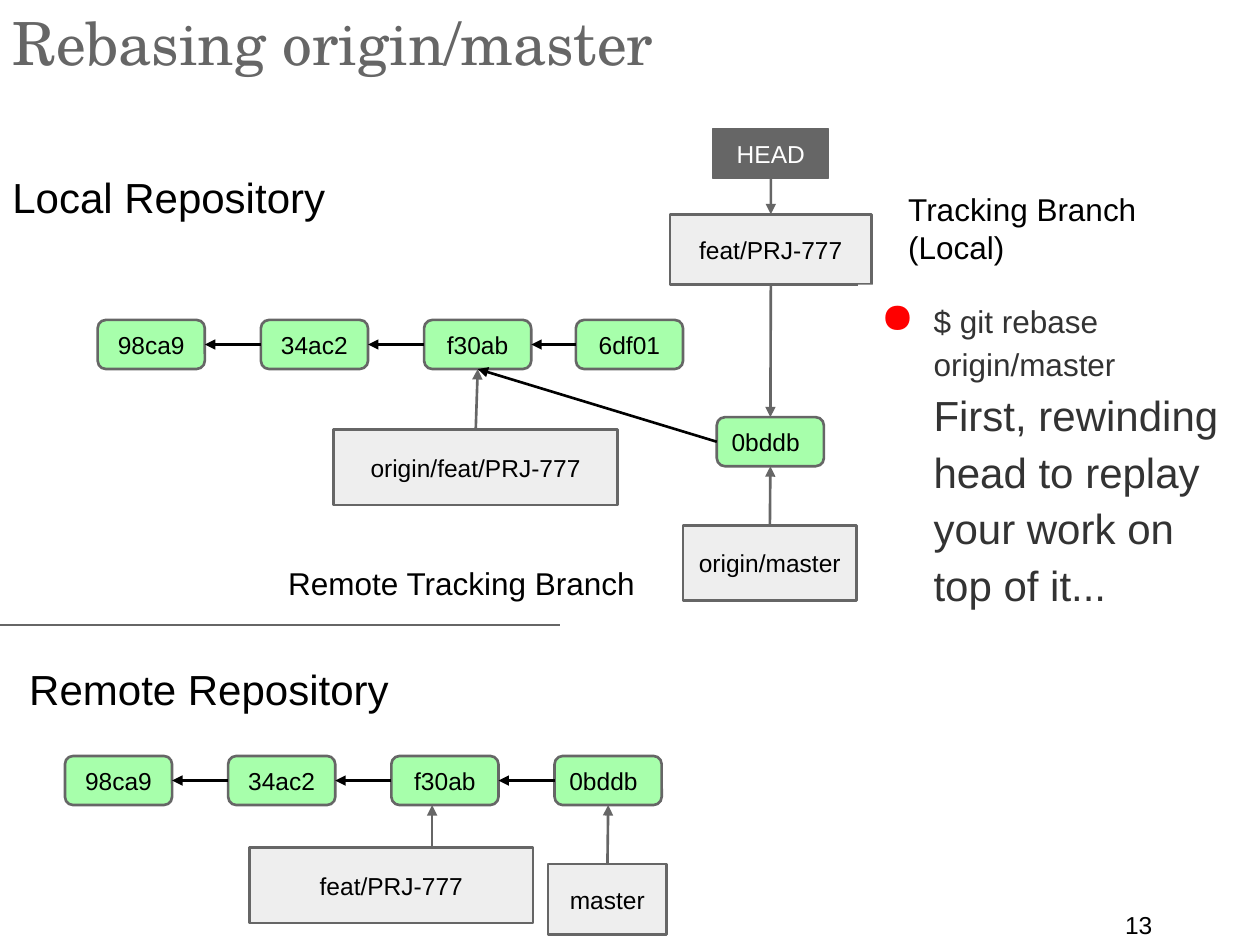
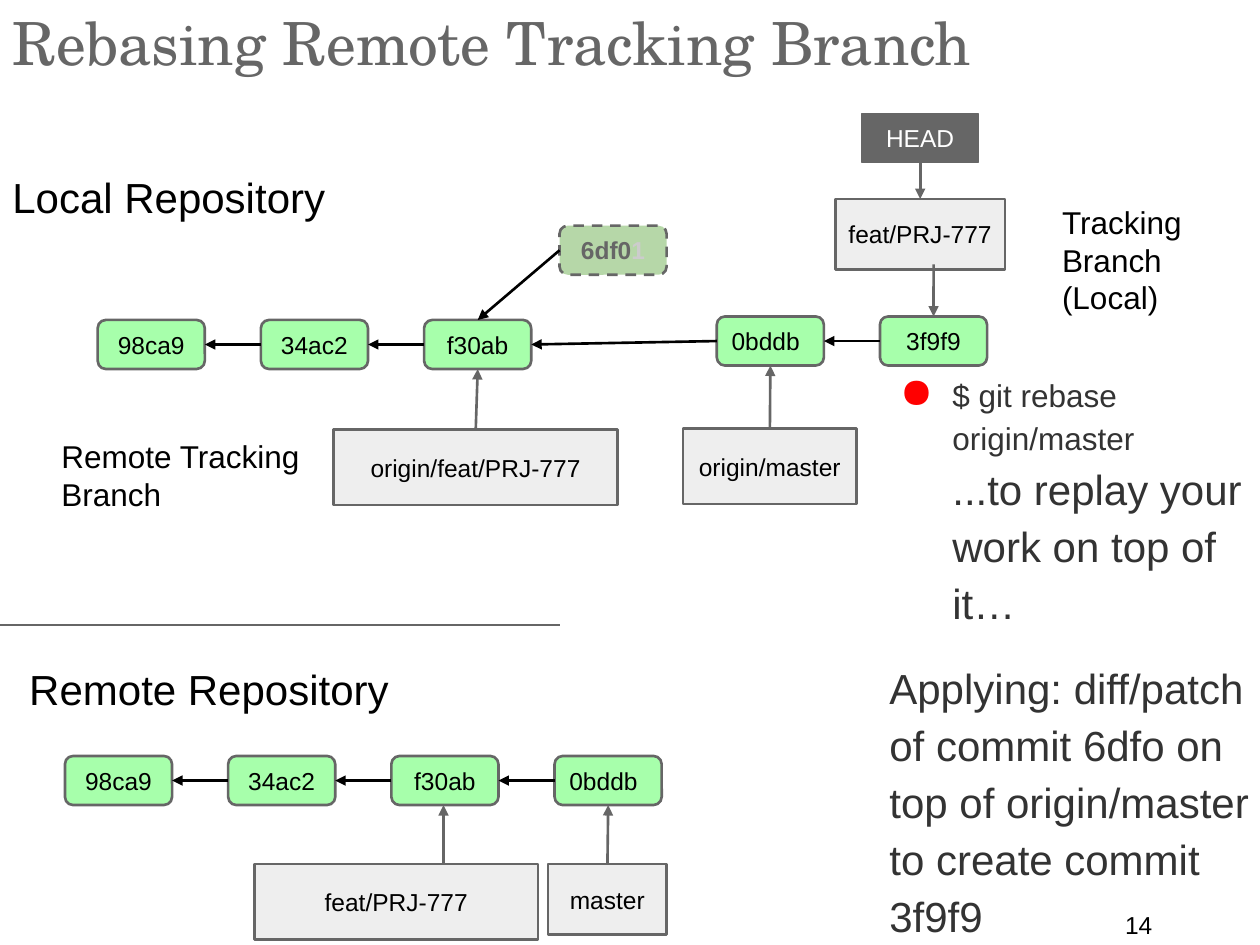
import collections

import pptx
import pptx.dml.color
import pptx.enum.dml
import pptx.enum.shapes
import pptx.enum.text
import pptx.oxml.ns
import pptx.util
from lxml import etree

Cm = pptx.util.Cm
Pt = pptx.util.Pt
Shapes = pptx.enum.shapes.MSO_SHAPE
Align = pptx.enum.text.PP_ALIGN
Box = collections.namedtuple("Box", "left top width height")

BLACK, WHITE, GREY, DARK = "000000", "FFFFFF", "666666", "333333"
GREEN, FADED_GREEN, PALE, LIGHT_GREY, RED = "A7FFAB", "B6D7A8", "EEEEEE", "CCCCCC", "FF0000"
TITLE_FONT, BODY_FONT = "TeX Gyre Schola", "Arial"
TOP, LEFT, BOTTOM, RIGHT = range(4)

COMMIT_WIDTH, COMMIT_HEIGHT, COMMIT_STEP = 2.16, 0.99, 3.29
HEAD_WIDTH, HEAD_RISE = 2.34, 1.72
BRANCH_HEIGHT, REMOTE_BRANCH_HEIGHT = 1.42, 1.52
LOCAL = Box(0, 2, 25.4, 10.6)
REMOTE = Box(0, 12.6, 17.3, 6.45)


def color(hex_string):
    return pptx.dml.color.RGBColor.from_string(hex_string)


def inside(region, left, top, width, height):
    """Turn a box measured from the region's corner into one on the page."""
    return Box(region.left + left, region.top + top, width, height)


def lengths(box):
    return [Cm(value) for value in box]


def add_span(para, text, size, ink=BLACK, font=BODY_FONT, bold=None):
    span = para.add_run()
    span.text = text
    span.font.name = font
    span.font.size = Pt(size)
    span.font.bold = bold
    span.font.color.rgb = color(ink)


def set_frame(shape, inset=0.25):
    frame = shape.text_frame
    frame.word_wrap = True
    frame.margin_left = frame.margin_right = Cm(0.25)
    frame.margin_top = frame.margin_bottom = Cm(inset)
    return frame


def add_label(page, box, text, size, ink=BLACK, font=BODY_FONT, inset=0.25):
    frame = set_frame(page.shapes.add_textbox(*lengths(box)), inset)
    add_span(frame.paragraphs[0], text, size, ink, font)


def add_node(page, box, spans, fill=PALE, kind=Shapes.RECTANGLE, align=Align.CENTER, weight=1.5):
    """Draw an outlined shape; spans are (text, colour, bold) triples."""
    node = page.shapes.add_shape(kind, *lengths(box))
    node.shadow.inherit = False
    node.fill.solid()
    node.fill.fore_color.rgb = color(fill)
    node.line.color.rgb = color(GREY)
    node.line.width = Pt(weight)
    frame = set_frame(node)
    frame.vertical_anchor = pptx.enum.text.MSO_ANCHOR.MIDDLE
    para = frame.paragraphs[0]
    para.alignment = align
    for text, ink, bold in spans:
        add_span(para, text, 14, ink, bold=bold)
    return node


def add_branch(page, box, name):
    return add_node(page, box, [(name, BLACK, None)])


def add_commit(page, region, left, top, name, align=Align.CENTER):
    box = inside(region, left, top, COMMIT_WIDTH, COMMIT_HEIGHT)
    return add_node(page, box, [(name, BLACK, None)], GREEN, Shapes.ROUNDED_RECTANGLE, align)


def add_line(page, start, finish, ink=GREY, arrow=True):
    """Join two ends, each a (shape, side) pair or an (x, y) point."""
    line = page.shapes.add_connector(pptx.enum.shapes.MSO_CONNECTOR.STRAIGHT, 0, 0, 0, 0)
    if isinstance(start[0], (int, float)):
        line.begin_x, line.begin_y = Cm(start[0]), Cm(start[1])
    else:
        line.begin_connect(*start)
    if isinstance(finish[0], (int, float)):
        line.end_x, line.end_y = Cm(finish[0]), Cm(finish[1])
    else:
        line.end_connect(*finish)
    line.line.color.rgb = color(ink)
    line.line.width = Pt(1.5)
    if arrow:
        outline = line.line._get_or_add_ln()
        etree.SubElement(outline, pptx.oxml.ns.qn("a:tailEnd"), type="triangle")
    etree.SubElement(line._element.spPr, pptx.oxml.ns.qn("a:effectLst"))


def add_parent_arrow(page, child, parent):
    add_line(page, (child, LEFT), (parent, RIGHT), BLACK)


def add_history(page, region, left, top):
    """Draw the three shared commits and return the newest."""
    newest = None
    for index, name in enumerate(["98ca9", "34ac2", "f30ab"]):
        commit = add_commit(page, region, left + index * COMMIT_STEP, top, name)
        if newest is not None:
            add_parent_arrow(page, commit, newest)
        newest = commit
    return newest


def add_checked_out_branch(page, region, left, top, width):
    """Draw HEAD centred above the local branch and return the branch."""
    head_box = inside(region, left + (width - HEAD_WIDTH) / 2, top - HEAD_RISE,
                      HEAD_WIDTH, COMMIT_HEIGHT)
    head = add_node(page, head_box, [("HEAD", WHITE, None)], GREY, weight=0.75)
    branch = add_branch(page, inside(region, left, top, width, BRANCH_HEIGHT), "feat/PRJ-777")
    add_line(page, (head, BOTTOM), (branch, TOP))
    return branch


def add_local_base(page, region):
    """Draw what both local repositories share and return commit f30ab."""
    add_label(page, inside(region, 0, 1.2, 7.42, 1.52), "Local Repository", 24)
    shared = add_history(page, region, 1.97, 4.45)
    tracking = add_branch(page, inside(region, 6.73, 6.66, 5.72, REMOTE_BRANCH_HEIGHT),
                          "origin/feat/PRJ-777")
    add_line(page, (tracking, TOP), (shared, BOTTOM))
    bottom = region.top + region.height
    add_line(page, (region.left, bottom), (region.left + 11.28, bottom), arrow=False)
    return shared


def add_origin_master(page, region, commit_top, branch_top):
    """Draw commit 0bddb with its branch below and return the commit."""
    commit = add_commit(page, region, 14.45, commit_top, "0bddb", Align.LEFT)
    branch = add_branch(page, inside(region, 13.77, branch_top, 3.5, REMOTE_BRANCH_HEIGHT),
                        "origin/master")
    add_line(page, (branch, TOP), (commit, BOTTOM))
    return commit


def local_before_rebase(page, region):
    shared = add_local_base(page, region)
    add_parent_arrow(page, add_commit(page, region, 11.61, 4.45, "6df01"), shared)
    upstream = add_origin_master(page, region, 6.41, 8.59)
    add_line(page, (upstream, LEFT), (shared, BOTTOM), BLACK)
    branch = add_checked_out_branch(page, region, 13.51, 2.32, 4.06)
    add_line(page, (branch, BOTTOM), (upstream, TOP))
    add_label(page, inside(region, 5.56, 9.13, 7.77, 1.96), "Remote Tracking Branch", 18)
    add_label(page, inside(region, 18.06, 1.58, 5.59, 1.96), "Tracking Branch (Local)", 18)


def local_after_rebase(page, region):
    shared = add_local_base(page, region)
    abandoned = add_node(page, inside(region, 11.28, 2.55, COMMIT_WIDTH, COMMIT_HEIGHT),
                         [("6df0", GREY, True), ("1", LIGHT_GREY, True)],
                         FADED_GREEN, Shapes.ROUNDED_RECTANGLE)
    abandoned.line.dash_style = pptx.enum.dml.MSO_LINE.DASH
    add_line(page, (abandoned, LEFT), (shared, TOP), BLACK)
    upstream = add_origin_master(page, region, 4.38, 6.64)
    add_parent_arrow(page, upstream, shared)
    replayed = add_commit(page, region, 14.45 + COMMIT_STEP, 4.38, "3f9f9")
    add_parent_arrow(page, replayed, upstream)
    add_checked_out_branch(page, region, 16.84, 2.01, 3.42)
    add_line(page, (region.left + 18.82, region.top + 3.33), (replayed, TOP))
    add_label(page, inside(region, 0.99, 6.56, 5.72, 1.96), "Remote Tracking Branch", 18)
    add_label(page, inside(region, 21.16, 1.84, 4.24, 1.96), "Tracking Branch (Local)", 18)


def remote_repository(page, region, feature_left, feature_top, arrow_x):
    add_label(page, inside(region, 0.34, 0.53, 8.85, 1.52), "Remote Repository", 24)
    history_left, history_top = 1.31, 2.64
    shared = add_history(page, region, history_left, history_top)
    newest = add_commit(page, region, history_left + 3 * COMMIT_STEP, history_top,
                        "0bddb", Align.LEFT)
    add_parent_arrow(page, newest, shared)
    master = add_branch(page, inside(region, 11.05, 4.82, 2.39, BRANCH_HEIGHT), "master")
    add_line(page, (master, TOP), (newest, BOTTOM))
    feature = inside(region, feature_left, feature_top, 5.72, REMOTE_BRANCH_HEIGHT)
    add_branch(page, feature, "feat/PRJ-777")
    add_line(page, (region.left + arrow_x, feature.top),
             (region.left + arrow_x, region.top + history_top + COMMIT_HEIGHT))


def add_bullet(para):
    properties = para._p.get_or_add_pPr()
    properties.set("marL", str(Cm(1.27)))
    properties.set("indent", str(-Cm(1.06)))
    bullet_color = etree.SubElement(properties, pptx.oxml.ns.qn("a:buClr"))
    etree.SubElement(bullet_color, pptx.oxml.ns.qn("a:srgbClr"), val=RED)
    etree.SubElement(properties, pptx.oxml.ns.qn("a:buSzPct"), val="133000")
    etree.SubElement(properties, pptx.oxml.ns.qn("a:buChar"), char="●")


def command_panel(page, box, message, outcome=None, covered=False):
    """Write the command and its message; covered hides what lies behind."""
    panel = page.shapes.add_textbox(*lengths(box))
    if covered:
        panel.fill.solid()
        panel.fill.fore_color.rgb = color(WHITE)
    frame = set_frame(panel)
    para = frame.paragraphs[0]
    add_bullet(para)
    add_span(para, "$ git rebase origin/master", 18, DARK)
    para.add_line_break()
    add_span(para, message, 24, DARK)
    if outcome:
        para = frame.add_paragraph()
        para.space_before = Pt(8)
        add_span(para, outcome, 24, DARK)
    for para in frame.paragraphs:
        para.line_spacing = 1.13
        para.space_after = Pt(8)


def add_page(deck, title, number):
    page = deck.slides.add_slide(deck.slide_layouts[6])
    add_label(page, Box(0, 0, 25.4, 1.52), title, 34, GREY, TITLE_FONT, inset=0.13)
    add_label(page, Box(22.43, 18.21, 2.34, 0.64), number, 14, inset=0.13)
    return page


def main():
    deck = pptx.Presentation()
    deck.slide_width, deck.slide_height = Cm(25.4), Cm(19.05)

    page = add_page(deck, "Rebasing origin/master", "13")
    local_before_rebase(page, LOCAL)
    remote_repository(page, REMOTE, 5.03, 4.49, 8.71)
    command_panel(page, Box(17.3, 5.74, 7.77, 7.82),
                  "First, rewinding head to replay your work on top of it...", covered=True)

    page = add_page(deck, "Rebasing Remote Tracking Branch", "14")
    local_after_rebase(page, LOCAL)
    remote_repository(page, REMOTE, 5.13, 4.82, 8.94)
    command_panel(page, Box(17.68, 7.24, 8.03, 11.3), "...to replay your work on top of it…",
                  "Applying: diff/patch of commit 6dfo on top of origin/master "
                  "to create commit 3f9f9")

    deck.save("out.pptx")


if __name__ == "__main__":
    main()
